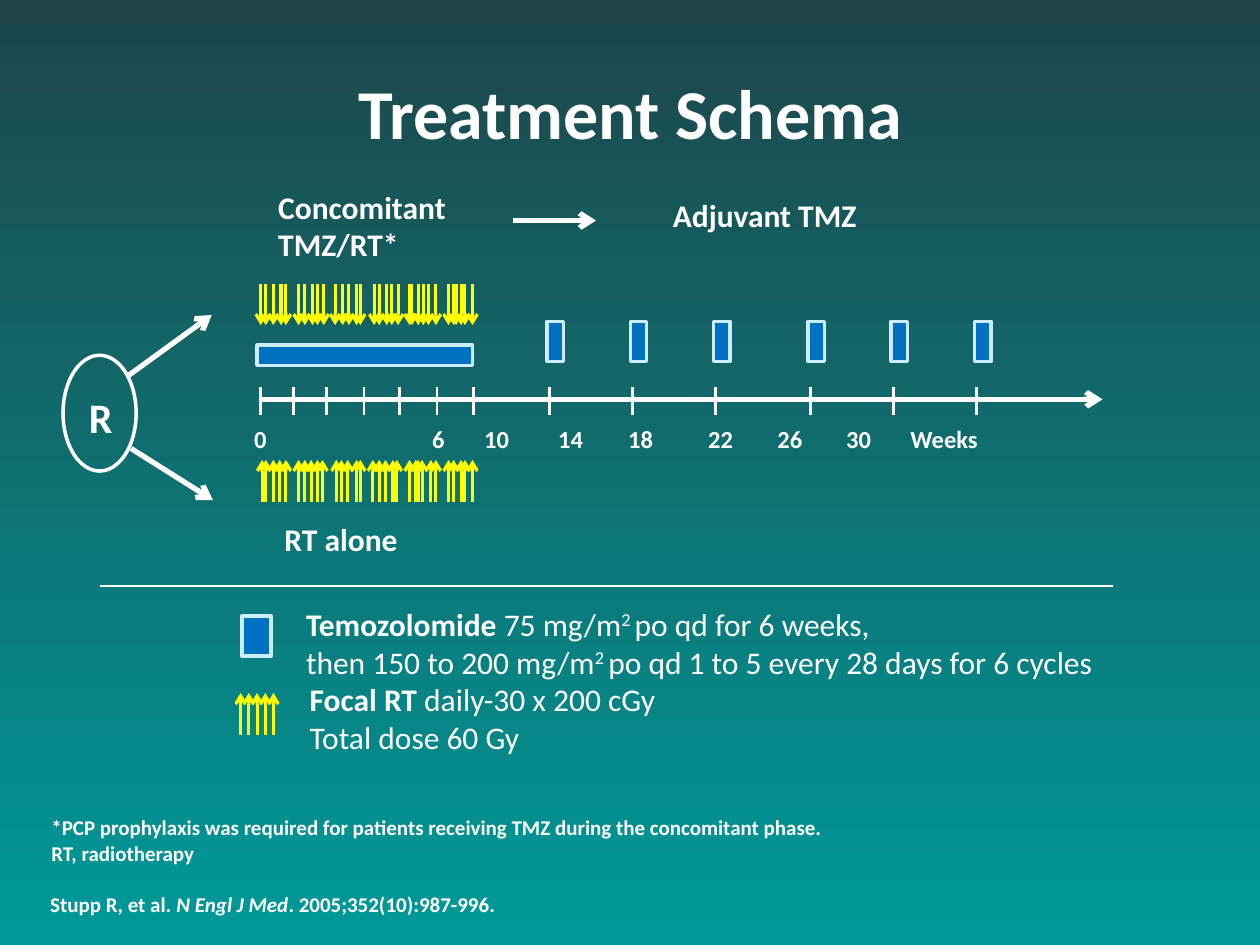
"""Build the Treatment Schema slide."""
from lxml import etree
from pptx import Presentation
from pptx.dml.color import RGBColor
from pptx.enum.shapes import MSO_CONNECTOR, MSO_SHAPE
from pptx.enum.text import MSO_ANCHOR, MSO_AUTO_SIZE, PP_ALIGN
from pptx.oxml.ns import qn
from pptx.util import Pt

STRAIGHT = MSO_CONNECTOR.STRAIGHT
RECTANGLE, OVAL = MSO_SHAPE.RECTANGLE, MSO_SHAPE.OVAL
LEFT, CENTER = PP_ALIGN.LEFT, PP_ALIGN.CENTER

COLORS = {
    "bottom": "009999", "top": "1E4649", "text": "FFFFFF",
    "drug": "0070C0", "drug_edge": "CCECFF", "radiation": "FFFF00",
}

WEEK_TICKS = [149, 167.8, 186.5, 208.1, 228.2, 249.8, 270.7,
              313.9, 361.4, 409, 463, 510.5, 558]
FIRST_CYCLE_TICK = 7
WEEK_LABELS = ["0", "6", "10", "14", "18", "22", "26", "30", "Weeks"]
WEEK_TABS = [101.7, 131.4, 173.7, 213.7, 259.4, 298.9, 338.3, 374.9]

COMBINED_DOSES = [
    149, 151.9, 156.2, 160.6, 163.4, 170.6, 174.2, 178.6, 181.4, 185,
    191.5, 195.8, 199.4, 203.8, 205.9, 213.8, 216.7, 221, 223.9, 227.5,
    234, 235.4, 239, 241.9, 244.8, 249.1,
    256.3, 259.2, 260.6, 263.5, 265.7, 270,
]
RT_ALONE_DOSES = [
    149.8, 151.9, 156.2, 159.8, 163.4, 170.6, 174.2, 177.8, 181.4, 184.3,
    192.2, 195.1, 198.7, 203.8, 205.9, 213.1, 216.7, 220.3, 224.6, 226.8,
    234, 237.6, 239, 241.2, 246.2, 249.1,
    256.3, 259.2, 263.5, 265.7, 270,
]
LEGEND_DOSES = [137.5 + 4.7 * step for step in range(5)]


class SchemaSlide:
    """Hold the style and the current slide."""

    def __init__(self, slide, font="Calibri"):
        self.slide = slide
        self.font = font

    def color(self, name):
        return RGBColor.from_string(COLORS[name])

    def background(self):
        fill = self.slide.background.fill
        fill.gradient()
        fill.gradient_angle = 90
        for stop, name in zip(fill.gradient_stops, ("bottom", "top")):
            stop.color.rgb = self.color(name)

    def format(self, paragraph, size, bold=True, align=LEFT):
        paragraph.alignment = align
        paragraph.font.name = self.font
        paragraph.font.size = Pt(size)
        paragraph.font.bold = bold
        paragraph.font.color.rgb = self.color("text")

    def title(self, words, left, top, width, height):
        title = self.slide.shapes.title
        title.left, title.top, title.width, title.height = map(
            Pt, (left, top, width, height))
        title.text_frame.text = words
        title.text_frame.vertical_anchor = MSO_ANCHOR.TOP
        title.text_frame.auto_size = MSO_AUTO_SIZE.NONE
        self.format(title.text_frame.paragraphs[0], 40, align=CENTER)

    def text(self, paragraphs, left, top, width, height, size,
             bold=True, align=LEFT, tabs=()):
        frame = self.slide.shapes.add_textbox(
            Pt(left), Pt(top), Pt(width), Pt(height)).text_frame
        frame.word_wrap = True
        for index, runs in enumerate(paragraphs):
            paragraph = frame.add_paragraph() if index else frame.paragraphs[0]
            if tabs:
                stops = etree.SubElement(
                    paragraph._p.get_or_add_pPr(), qn("a:tabLst"))
                for position in tabs:
                    etree.SubElement(stops, qn("a:tab"),
                                     pos=str(Pt(position)), algn="l")
            self.format(paragraph, size, bold, align)
            for words, style in runs:
                self.run(paragraph, words, style)

    def run(self, paragraph, words, style):
        for index, line in enumerate(words.split("\n")):
            if index:
                paragraph.add_line_break()
            run = paragraph.add_run()
            run.text = line
            if style == "bold":
                run.font.bold = True
            elif style == "italic":
                run.font.italic = True
            elif style == "super":
                run.font._element.set("baseline", "30000")

    def line(self, x1, y1, x2, y2, weight, color="text", arrow=False):
        line = self.slide.shapes.add_connector(
            STRAIGHT, Pt(x1), Pt(y1), Pt(x2), Pt(y2))
        line.line.width = Pt(weight)
        line.line.color.rgb = self.color(color)
        if arrow:
            etree.SubElement(line.line._get_or_add_ln(),
                             qn("a:tailEnd"), type="arrow")
        etree.SubElement(line._element.spPr, qn("a:effectLst"))

    def doses(self, positions, start, end):
        for x in positions:
            self.line(x, start, x, end, 1.75, "radiation", arrow=True)

    def shape(self, kind, left, top, width, height, edge, fill=None):
        shape = self.slide.shapes.add_shape(
            kind, Pt(left), Pt(top), Pt(width), Pt(height))
        shape.shadow.inherit = False
        shape.line.width = Pt(2)
        shape.line.color.rgb = self.color(edge)
        if fill:
            shape.fill.solid()
            shape.fill.fore_color.rgb = self.color(fill)
        else:
            shape.fill.background()

    def drug(self, left, top, width, height):
        self.shape(RECTANGLE, left, top, width, height, "drug_edge", "drug")


def main():
    deck = Presentation()
    deck.slide_width, deck.slide_height = Pt(720), Pt(540)
    schema = SchemaSlide(deck.slides.add_slide(deck.slide_layouts[5]))
    schema.background()
    schema.title("Treatment Schema", 0, 36, 720, 55.4)

    schema.text([[("Concomitant TMZ/RT*", "")]], 151.9, 103.7, 126, 51, 18)
    schema.text([[("Adjuvant TMZ", "")]], 368, 108.7, 138, 29, 18, align=CENTER)
    schema.text([[("RT alone", "")]], 155.5, 293.8, 138, 29, 18)
    schema.line(293, 126, 340.6, 126, 3, arrow=True)

    schema.shape(OVAL, 36, 203, 41.8, 66.2, "text")
    schema.text([[("R", "")]], 36.7, 220.3, 41.8, 36, 24, align=CENTER)
    schema.line(73.4, 214.6, 121, 180, 3, arrow=True)
    schema.line(74.9, 256.3, 121.7, 285.8, 3, arrow=True)

    schema.line(148.3, 228.2, 630, 228.2, 3, arrow=True)
    for x in WEEK_TICKS:
        schema.line(x, 221.4, x, 237.3, 1.5)
    for x in WEEK_TICKS[FIRST_CYCLE_TICK:]:
        schema.drug(x - 1.2, 183.6, 9.4, 23)
    schema.drug(146.9, 197.3, 123.1, 11.5)
    schema.text([[("\t".join(WEEK_LABELS), "")]],
                138.2, 239, 563, 24.5, 14, tabs=WEEK_TABS)
    schema.doses(COMBINED_DOSES, 162, 185.8)
    schema.doses(RT_ALONE_DOSES, 286.6, 262.8)

    schema.line(56.9, 334.8, 635.8, 334.8, 1.5)
    schema.drug(138.2, 352, 16.6, 23)
    schema.text([[("Temozolomide ", "bold"), ("75 mg/m", ""), ("2 ", "super"),
                  ("po qd for 6 weeks,\nthen 150 to 200 mg/m", ""),
                  ("2 ", "super"),
                  ("po qd 1 to 5 every 28 days for 6 cycles", "")]],
                167.8, 342, 534, 51, 18, bold=False)
    schema.doses(LEGEND_DOSES, 419.8, 396)
    schema.text([[("Focal RT ", "bold"), ("daily-30 x 200 cGy", "")],
                 [("Total dose 60 Gy", "")]],
                169.9, 385.2, 534, 51, 18, bold=False)

    schema.text([[("*PCP prophylaxis was required for patients receiving TMZ "
                   "during the concomitant phase.\nRT, radiotherapy", "")]],
                22.3, 462.2, 546, 36, 12)
    schema.text([[("Stupp R, et al. ", ""), ("N Engl J Med", "italic"),
                  (". 2005;352(10):987-996.", "")]],
                21.6, 505.8, 497, 21.6, 12)
    deck.save("out.pptx")


if __name__ == "__main__":
    main()
